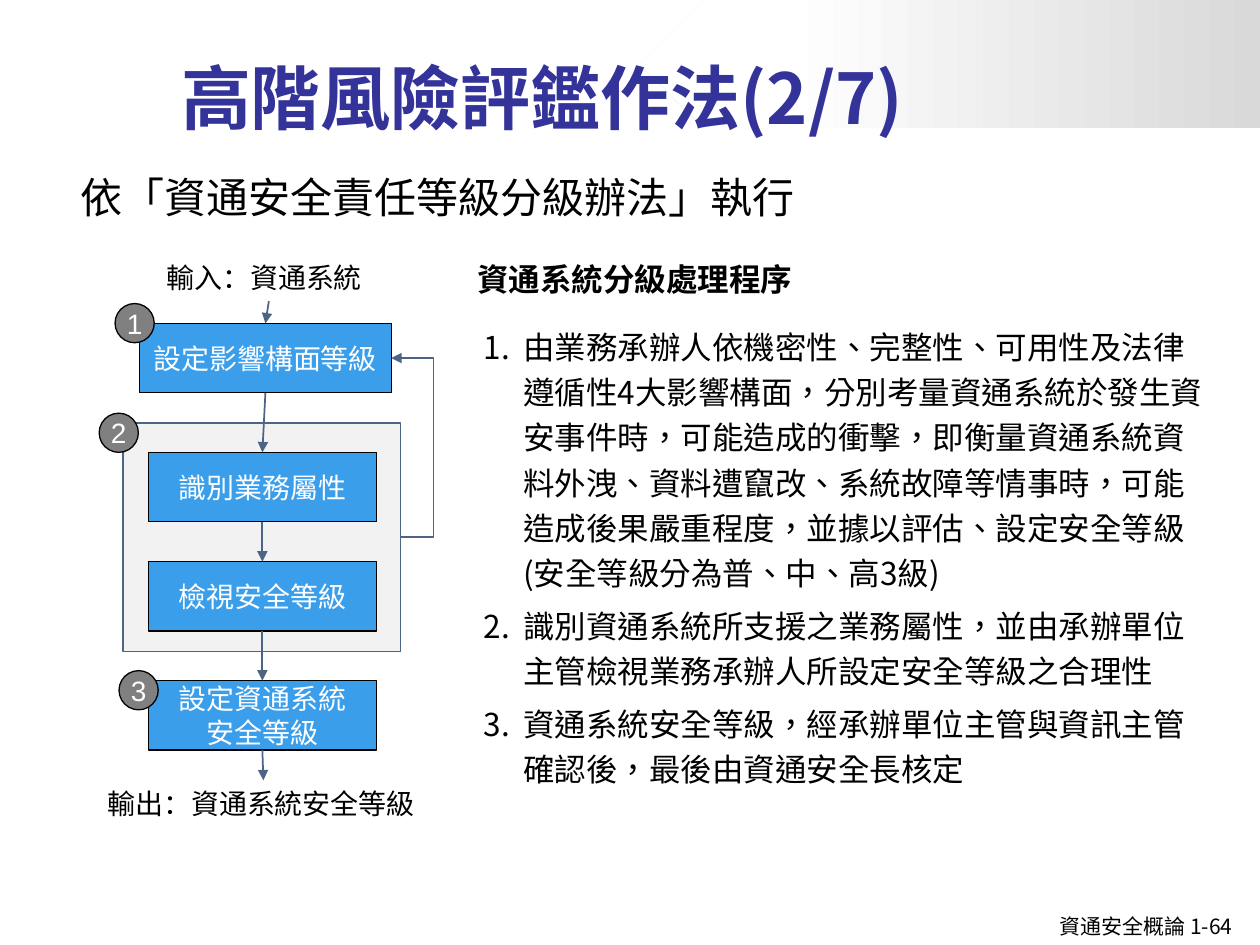
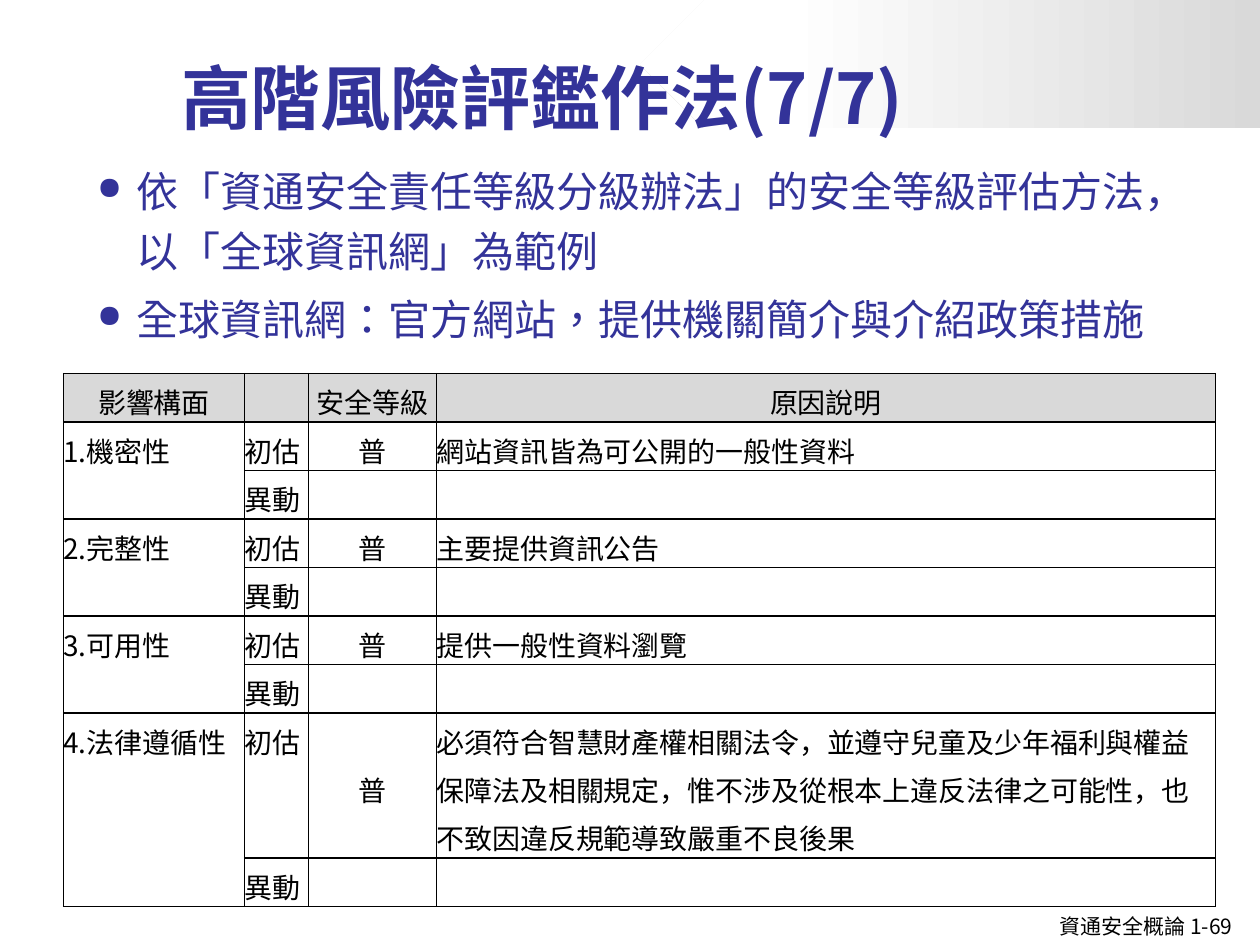
from itertools import pairwise

from lxml.etree import SubElement
from pptx import Presentation
from pptx.dml.color import RGBColor
from pptx.enum.shapes import MSO_CONNECTOR as Link, MSO_SHAPE as Shape
from pptx.enum.text import MSO_ANCHOR as Anchor, MSO_AUTO_SIZE as AutoSize, PP_ALIGN as Align
from pptx.oxml.ns import qn
from pptx.util import Cm, Pt

SANS, TITLE_FONT, DIGIT_FONT = "Noto Sans CJK SC", "Noto Sans CJK TC", "Arial"
BLACK, WHITE, NAVY = "000000", "FFFFFF", "333399"
BLUE, STEEL, GRAY, SILVER, PALE = "3A9EEB", "4C6584", "808080", "D9D9D9", "F2F2F2"
TOP, LEFT, BOTTOM, RIGHT = range(4)

PROCEDURE = [
    "由業務承辦人依機密性、完整性、可用性及法律遵循性4大影響構面，分別考量資通系統於發生"
    "資安事件時，可能造成的衝擊，即衡量資通系統資料外洩、資料遭竄改、系統故障等情事時，"
    "可能造成後果嚴重程度，並據以評估、設定安全等級(安全等級分為普、中、高3級)",
    "識別資通系統所支援之業務屬性，並由承辦單位主管檢視業務承辦人所設定安全等級之合理性",
    "資通系統安全等級，經承辦單位主管與資訊主管確認後，最後由資通安全長核定",
]
EXAMPLE = [
    "依「資通安全責任等級分級辦法」的安全等級評估方法，以「全球資訊網」為範例",
    "全球資訊網：官方網站，提供機關簡介與介紹政策措施",
]
HEADER = ["影響構面", "", "安全等級", "原因說明"]
RATINGS = [
    ("1.機密性", "網站資訊皆為可公開的一般性資料"),
    ("2.完整性", "主要提供資訊公告"),
    ("3.可用性", "提供一般性資料瀏覽"),
    ("4.法律遵循性", "必須符合智慧財產權相關法令，並遵守兒童及少年福利與權益保障法及相關規定，"
                "惟不涉及從根本上違反法律之可能性，也不致因違反規範導致嚴重不良後果"),
]


def color(code):
    return RGBColor.from_string(code)


def add_run(para, text, size, code=BLACK, face=SANS, bold=False):
    span = para.add_run()
    span.text = text
    font = span.font
    font.size, font.bold, font.name = Pt(size), bold, face
    font.color.rgb = color(code)
    SubElement(font._element, qn("a:ea"), typeface=face)


def fill_frame(frame, lines, size, code=BLACK, face=SANS, bold=False, align=Align.LEFT):
    for index, line in enumerate(lines):
        para = frame.add_paragraph() if index else frame.paragraphs[0]
        para.alignment = align
        add_run(para, line, size, code, face, bold)


def add_label(page, place, text, size, bold=False):
    """Add a one-line text box that fits its text."""
    box = page.shapes.add_textbox(*map(Cm, place))
    box.text_frame.word_wrap = False
    box.text_frame.auto_size = AutoSize.SHAPE_TO_FIT_TEXT
    fill_frame(box.text_frame, [text], size, bold=bold)
    return box


def add_list(page, place, items, size, code, marker, marker_size=100, taiwan_from=0,
             **marker_attributes):
    """Add a list with a:buChar or a:buAutoNum markers.

    Items from taiwan_from on get Taiwanese, centred punctuation.
    """
    box = page.shapes.add_textbox(*map(Cm, place))
    frame = box.text_frame
    frame.word_wrap = True
    fill_frame(frame, items, size, code)
    for index, para in enumerate(frame.paragraphs):
        props = para._p.get_or_add_pPr()
        props.set("marL", str(Cm(0.8)))
        props.set("indent", str(-Cm(0.8)))
        SubElement(props, qn("a:buSzPct"), val=str(marker_size * 1000))
        SubElement(props, qn(marker), **marker_attributes)
        para.line_spacing = 1.2
        para.space_before = Pt(2 if index else 0)
        para.space_after = Pt(2)
        if index >= taiwan_from:
            para.runs[0].font._element.set("lang", "zh-TW")


def add_block(page, kind, place, fill, line, lines=(), face=SANS, inset=None):
    block = page.shapes.add_shape(kind, *map(Cm, place))
    block.shadow.inherit = False
    block.fill.solid()
    block.fill.fore_color.rgb = color(fill)
    block.line.color.rgb = color(line)
    block.line.width = Pt(0.75)
    frame = block.text_frame
    frame.vertical_anchor = Anchor.MIDDLE
    if inset is not None:
        set_margins(frame, inset)
    fill_frame(frame, lines, 16, WHITE, face, align=Align.CENTER)
    return block


def set_margins(target, inset):
    target.margin_left = target.margin_right = Cm(inset)
    target.margin_top = target.margin_bottom = Cm(inset)


def add_arrow(page, start, start_side, end, end_side, kind=Link.STRAIGHT):
    arrow = page.shapes.add_connector(kind, 0, 0, 0, 0)
    arrow.begin_connect(start, start_side)
    arrow.end_connect(end, end_side)
    arrow.line.color.rgb = color(STEEL)
    arrow.line.width = Pt(1)
    SubElement(arrow.line._get_or_add_ln(), qn("a:tailEnd"), type="triangle")
    SubElement(arrow._element.spPr, qn("a:effectLst"))
    return arrow


def add_page(deck, part, number):
    """Add a slide with the shared footer, corner band and title."""
    page = deck.slides.add_slide(deck.slide_layouts[6])
    add_label(page, (21.11, 18.29, 4.29, 0.76), f"資通安全概論 {number}", 12)

    band = page.shapes.add_shape(Shape.PENTAGON, *map(Cm, (12.9, 0, 12.5, 2.59)))
    band.shadow.inherit = False
    band.line.fill.background()
    band.fill.gradient()
    band.fill.gradient_angle = 0
    for stop, position, code in zip(band.fill.gradient_stops, (0, 0.77), (SILVER, WHITE)):
        stop.position = position
        stop.color.rgb = color(code)
    band._element.spPr.find(qn("a:xfrm")).set("flipH", "1")

    title = page.shapes.add_textbox(*map(Cm, (3.4, 0.33, 20.73, 2.59))).text_frame
    title.word_wrap = True
    title.vertical_anchor = Anchor.BOTTOM
    fill_frame(title, [f"高階風險評鑑作法({part}/7)"], 40, NAVY, TITLE_FONT, True)
    return page


def add_flow(page):
    review_area = add_block(page, Shape.RECTANGLE, (2.48, 8.53, 5.6, 4.6), PALE, STEEL)
    steps = [
        add_block(page, Shape.RECTANGLE, (left, top, width, 1.4), BLUE, BLACK, lines)
        for left, top, width, lines in (
            (2.81, 6.52, 5.08, ["設定影響構面等級"]),
            (2.99, 9.12, 4.6, ["識別業務屬性"]),
            (2.99, 11.32, 4.6, ["檢視安全等級"]),
            (2.99, 13.72, 4.6, ["設定資通系統", "安全等級"]),
        )
    ]
    source = add_label(page, (3.11, 5.13, 4.62, 0.94), "輸入：資通系統", 16)
    result = add_label(page, (1.92, 15.73, 6.78, 0.94), "輸出：資通系統安全等級", 16)
    for upper, lower in pairwise([source, *steps, result]):
        add_arrow(page, upper, BOTTOM, lower, TOP)

    feedback = add_arrow(page, review_area, RIGHT, steps[0], RIGHT, Link.ELBOW)
    bends = feedback._element.spPr.find(qn("a:prstGeom")).find(qn("a:avLst"))
    SubElement(bends, qn("a:gd"), name="adj1", fmla="val -347500")

    for number, (left, top) in enumerate([(2.32, 6.12), (2, 8.33), (2.4, 13.52)], 1):
        add_block(page, Shape.OVAL, (left, top, 0.79, 0.79), GRAY, BLACK,
                  [str(number)], DIGIT_FONT, inset=0)


def fill_cell(cell, text, centered, fill=None):
    set_margins(cell, 0)
    props = cell._tc.get_or_add_tcPr()
    for side in ("a:lnL", "a:lnR", "a:lnT", "a:lnB"):
        border = SubElement(props, qn(side), w=str(Pt(1)))
        SubElement(SubElement(border, qn("a:solidFill")), qn("a:srgbClr"), val=BLACK)
    if fill:
        cell.fill.solid()
        cell.fill.fore_color.rgb = color(fill)
    else:
        cell.fill.background()
    para = cell.text_frame.paragraphs[0]
    para.alignment = Align.CENTER if centered else Align.LEFT
    para.line_spacing = 1.2
    para.space_after = Pt(2)
    if text:
        add_run(para, text, 16)
    else:
        para.font.size = Pt(16)


def add_ratings(page):
    rows = [HEADER]
    for aspect, reason in RATINGS:
        rows += [[aspect, "初估", "普", reason], ["", "異動", "", ""]]
    line_height = 0.977
    heights = [line_height] * len(rows)
    heights[-2] = 3 * line_height
    frame = page.shapes.add_table(len(rows), len(HEADER),
                                  *map(Cm, (1.28, 7.53, 23.22, sum(heights))))
    table = frame.table
    table.first_row = table.horz_banding = False
    for column, width in zip(table.columns, (3.65, 1.29, 2.58, 15.7)):
        column.width = Cm(width)
    for row, height in zip(table.rows, heights):
        row.height = Cm(height)

    for row_index, texts in enumerate(rows):
        is_header = row_index == 0
        for column_index, text in enumerate(texts):
            cell = table.cell(row_index, column_index)
            is_level = column_index == 2
            fill_cell(cell, text, is_header or is_level, SILVER if is_header else None)
            if is_level and not is_header:
                cell.vertical_anchor = Anchor.MIDDLE
    for first in range(1, len(rows), 2):
        table.cell(first, 0).merge(table.cell(first + 1, 0))


def main():
    deck = Presentation()
    deck.slide_width, deck.slide_height = Cm(25.4), Cm(19.05)

    page = add_page(deck, 2, "1-64")
    add_list(page, (9.5, 6.33, 15.19, 8.31), PROCEDURE, 18, BLACK,
             "a:buAutoNum", type="arabicPeriod")
    add_label(page, (1.37, 3.33, 15.04, 1.27), "依「資通安全責任等級分級辦法」執行", 24)
    add_label(page, (9.37, 5.12, 6.93, 1.02), "資通系統分級處理程序", 18, bold=True)
    add_flow(page)

    page = add_page(deck, 7, "1-69")
    add_list(page, (1.71, 3, 22.43, 14.53), EXAMPLE, 24, NAVY,
             "a:buChar", marker_size=75, taiwan_from=1, char="●")
    add_ratings(page)

    deck.save("out.pptx")


if __name__ == "__main__":
    main()
